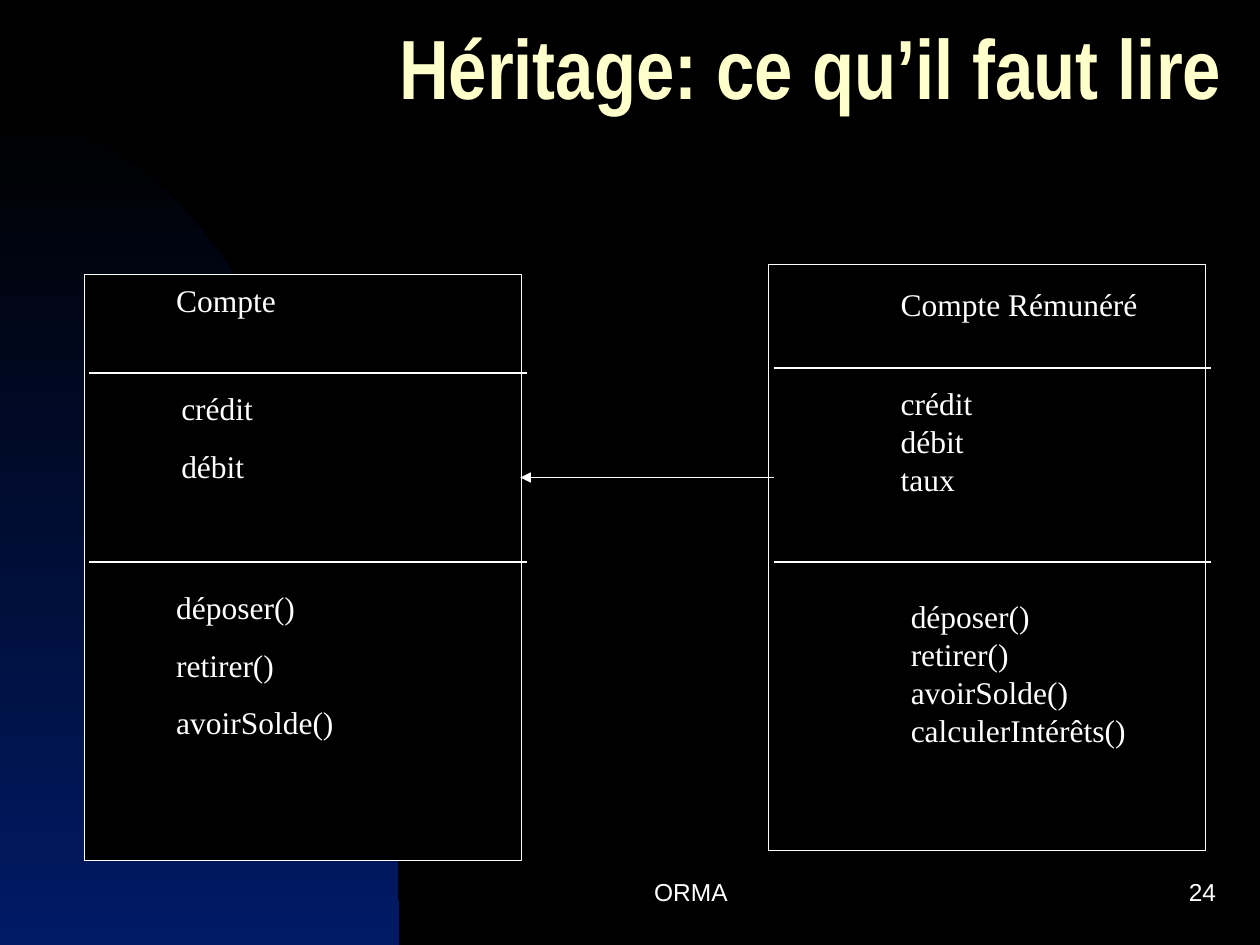
from math import cos, pi, sin

from lxml.etree import SubElement
from pptx import Presentation
from pptx.dml.color import RGBColor
from pptx.enum.shapes import MSO_CONNECTOR, MSO_SHAPE
from pptx.enum.text import MSO_ANCHOR, PP_ALIGN
from pptx.oxml.ns import qn
from pptx.util import Inches, Pt

BLACK = RGBColor(0x00, 0x00, 0x00)
NAVY = RGBColor(0x00, 0x1A, 0x66)
WHITE = RGBColor(0xFF, 0xFF, 0xFF)
CREAM = RGBColor(0xFF, 0xFF, 0xCC)

presentation = Presentation()
presentation.slide_width = Inches(10)
presentation.slide_height = Inches(7.5)
slide = presentation.slides.add_slide(presentation.slide_layouts[6])
slide.background.fill.solid()
slide.background.fill.fore_color.rgb = BLACK


def add_text(lines, left, top, width, height, font="Times New Roman", size=18,
             color=WHITE, bold=False, align=PP_ALIGN.LEFT,
             anchor=MSO_ANCHOR.TOP, before=0, spacing=1.0):
    box = slide.shapes.add_textbox(Inches(left), Inches(top), Inches(width), Inches(height))
    frame = box.text_frame
    frame.word_wrap = True
    frame.vertical_anchor = anchor
    frame.text = "\n".join(lines)
    for paragraph in frame.paragraphs:
        paragraph.alignment = align
        paragraph.space_before = Pt(before)
        paragraph.line_spacing = spacing
        paragraph.font.name = font
        paragraph.font.size = Pt(size)
        paragraph.font.bold = bold
        paragraph.font.color.rgb = color


def add_line(x1, y1, x2, y2, arrow=False):
    connector = slide.shapes.add_connector(
        MSO_CONNECTOR.STRAIGHT, Inches(x1), Inches(y1), Inches(x2), Inches(y2))
    connector.line.color.rgb = WHITE
    connector.line.width = Pt(0.75)
    if arrow:
        SubElement(connector.line._get_or_add_ln(), qn("a:tailEnd"), type="triangle")
    SubElement(connector._element.spPr, qn("a:effectLst"))


steps = 60
angles = [pi / 2 * step / steps for step in range(steps + 1)]
arc = [(Inches(3.17 * sin(angle)), Inches(7.5 - 6.58 * cos(angle))) for angle in angles]
builder = slide.shapes.build_freeform(*arc[0])
builder.add_line_segments(arc[1:] + [(0, Inches(7.5))], close=True)
dome = builder.convert_to_shape()
dome.shadow.inherit = False
dome.line.fill.background()
dome.fill.gradient()
dome.fill.gradient_angle = 270
for stop, color, position in zip(dome.fill.gradient_stops, (BLACK, NAVY), (0, 1)):
    stop.color.rgb = color
    stop.position = position

add_text(["Héritage: ce qu’il faut lire"], 3.07, 0, 6.93, 1.25, font="Arial Narrow",
         size=48, color=CREAM, bold=True, anchor=MSO_ANCHOR.MIDDLE, spacing=0.7)

classes = [
    (0.67, 2.18, 2.96, 11.2, [
        (["Compte"], 1.3, 2.18, 2.36, 0.4),
        (["crédit", "débit"], 1.34, 3.04, 1.89, 0.86),
        (["déposer()", "retirer()", "avoirSolde()"], 1.3, 4.62, 2.05, 1.32),
    ]),
    (6.1, 2.1, 2.92, 0, [
        (["Compte Rémunéré"], 7.05, 2.21, 2.13, 0.4),
        (["crédit", "débit", "taux"], 7.05, 3, 2.28, 1),
        (["déposer()", "retirer()", "avoirSolde()", "calculerIntérêts()"],
         7.13, 4.69, 2.09, 1.3),
    ]),
]
for left, top, name_rule, before, sections in classes:
    frame = slide.shapes.add_shape(
        MSO_SHAPE.RECTANGLE, Inches(left), Inches(top), Inches(3.47), Inches(4.65))
    frame.shadow.inherit = False
    frame.fill.solid()
    frame.fill.fore_color.rgb = BLACK
    frame.line.color.rgb = WHITE
    frame.line.width = Pt(0.75)
    for rule in (name_rule, 4.46):
        add_line(left + 0.04, rule, left + 3.51, rule)
    for lines, *place in sections:
        add_text(lines, *place, before=before)

add_line(6.14, 3.79, 4.13, 3.79, arrow=True)

footer = dict(font="Arial", size=14, anchor=MSO_ANCHOR.MIDDLE)
add_text(["ORMA "], 3.92, 6.83, 3.17, 0.5, align=PP_ALIGN.CENTER, **footer)
add_text(["24"], 7.67, 6.83, 2.08, 0.5, align=PP_ALIGN.RIGHT, **footer)

presentation.save("out.pptx")
